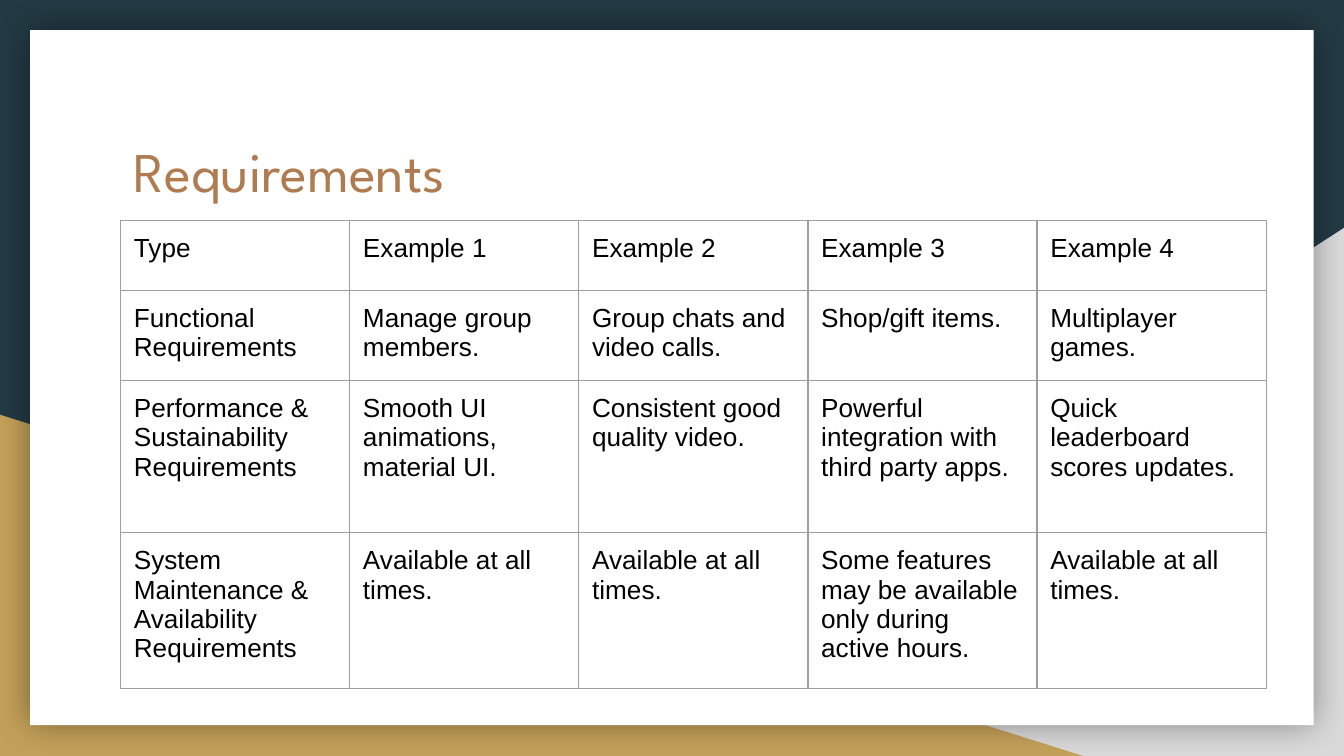
"""Build the requirements slide with its layered card and table."""
from dataclasses import dataclass

from lxml.etree import SubElement
from pptx import Presentation
from pptx.dml.color import RGBColor
from pptx.enum.shapes import MSO_SHAPE
from pptx.enum.text import MSO_ANCHOR
from pptx.oxml.ns import qn
from pptx.slide import Slide
from pptx.table import _Cell
from pptx.text.text import TextFrame
from pptx.util import Cm, Pt

COLORS = {
    "back": "233A44", "grey": "D9D9D9", "gold": "C4A15A", "card": "FFFFFF",
    "title": "AF7B51", "text": "000000", "line": "9E9E9E", "shade": "000000",
}
INSET = Cm(0.25)
LEFT = 2.28
WIDTH = 4.33
HEIGHTS = (1.32, 1.7, 2.88, 2.94)
ALWAYS = "Available at all times."
ROWS = (
    ("Type", *(f"Example {num}" for num in range(1, 5))),
    ("Functional Requirements", "Manage group members.",
     "Group chats and video calls.", "Shop/gift items.", "Multiplayer games."),
    ("Performance & Sustainability Requirements",
     "Smooth UI animations, material UI.", "Consistent good quality video.",
     "Powerful integration with third party apps.",
     "Quick leaderboard scores updates."),
    ("System Maintenance & Availability Requirements", ALWAYS, ALWAYS,
     "Some features may be available only during active hours.", ALWAYS),
)


@dataclass(frozen=True)
class Panel:
    """A plain filled shape, with lengths in centimetres."""
    kind: MSO_SHAPE
    left: float
    top: float
    width: float
    height: float
    color: str
    flip: bool = False
    shade: bool = False


PANELS = (
    Panel(MSO_SHAPE.RIGHT_TRIANGLE, 9.96, 4.31, 15.44, 9.98, "grey", flip=True),
    Panel(MSO_SHAPE.RIGHT_TRIANGLE, 0, 7.84, 20.47, 6.45, "gold"),
    Panel(MSO_SHAPE.RECTANGLE, 0.57, 0.57, 24.26, 13.14, "card", shade=True),
)


def paint(name: str) -> RGBColor:
    """Return the named colour."""
    return RGBColor.from_string(COLORS[name])


def draw_panel(slide: Slide, panel: Panel) -> None:
    """Draw one panel, flipped or shaded when asked."""
    shape = slide.shapes.add_shape(
        panel.kind, Cm(panel.left), Cm(panel.top),
        Cm(panel.width), Cm(panel.height))
    shape.fill.solid()
    shape.fill.fore_color.rgb = paint(panel.color)
    shape.line.fill.background()
    shape.shadow.inherit = False
    props = shape.element.spPr
    if panel.flip:
        props.find(qn("a:xfrm")).set("flipH", "1")
    if panel.shade:
        glow = SubElement(props.find(qn("a:effectLst")), qn("a:outerShdw"),
                          blurRad=str(Pt(18)), dist="0", dir="0",
                          algn="ctr", rotWithShape="0")
        tint = SubElement(glow, qn("a:srgbClr"), val=COLORS["shade"])
        SubElement(tint, qn("a:alpha"), val="40000")


def write(frame: TextFrame, text: str, size: int, font: str, color: str) -> None:
    """Add one styled run to the frame."""
    frame.word_wrap = True
    run = frame.paragraphs[0].add_run()
    run.text = text
    run.font.size = Pt(size)
    run.font.name = font
    run.font.color.rgb = paint(color)


def draw_title(slide: Slide) -> None:
    """Draw the slide title."""
    box = slide.shapes.add_textbox(Cm(LEFT), Cm(2.34), Cm(20.85), Cm(2.64))
    frame = box.text_frame
    frame.margin_left = frame.margin_right = INSET
    frame.margin_top = frame.margin_bottom = INSET
    frame.vertical_anchor = MSO_ANCHOR.TOP
    write(frame, "Requirements", 30, "League Spartan", "title")


def fill_cell(cell: _Cell, text: str) -> None:
    """Write one cell and rule its four sides."""
    cell.margin_left = cell.margin_right = INSET
    cell.margin_top = cell.margin_bottom = INSET
    write(cell.text_frame, text, 14, "Arial", "text")
    props = cell._tc.get_or_add_tcPr()
    for side in ("lnL", "lnR", "lnT", "lnB"):
        line = SubElement(props, qn(f"a:{side}"), w=str(Pt(0.75)))
        fill = SubElement(line, qn("a:solidFill"))
        SubElement(fill, qn("a:srgbClr"), val=COLORS["line"])
    cell.fill.background()


def draw_table(slide: Slide) -> None:
    """Draw the table of types and examples."""
    count = len(ROWS[0])
    table = slide.shapes.add_table(
        len(ROWS), count, Cm(LEFT), Cm(4.17),
        Cm(WIDTH * count), Cm(sum(HEIGHTS))).table
    table.first_row = table.horz_banding = False
    for column in table.columns:
        column.width = Cm(WIDTH)
    for row, height, texts in zip(table.rows, HEIGHTS, ROWS):
        row.height = Cm(height)
        for cell, text in zip(row.cells, texts):
            fill_cell(cell, text)


def main() -> None:
    """Build and save the deck."""
    deck = Presentation()
    deck.slide_width, deck.slide_height = Cm(25.4), Cm(14.29)
    slide = deck.slides.add_slide(deck.slide_layouts[6])
    slide.background.fill.solid()
    slide.background.fill.fore_color.rgb = paint("back")
    for panel in PANELS:
        draw_panel(slide, panel)
    draw_title(slide)
    draw_table(slide)
    deck.save("out.pptx")


if __name__ == "__main__":
    main()
